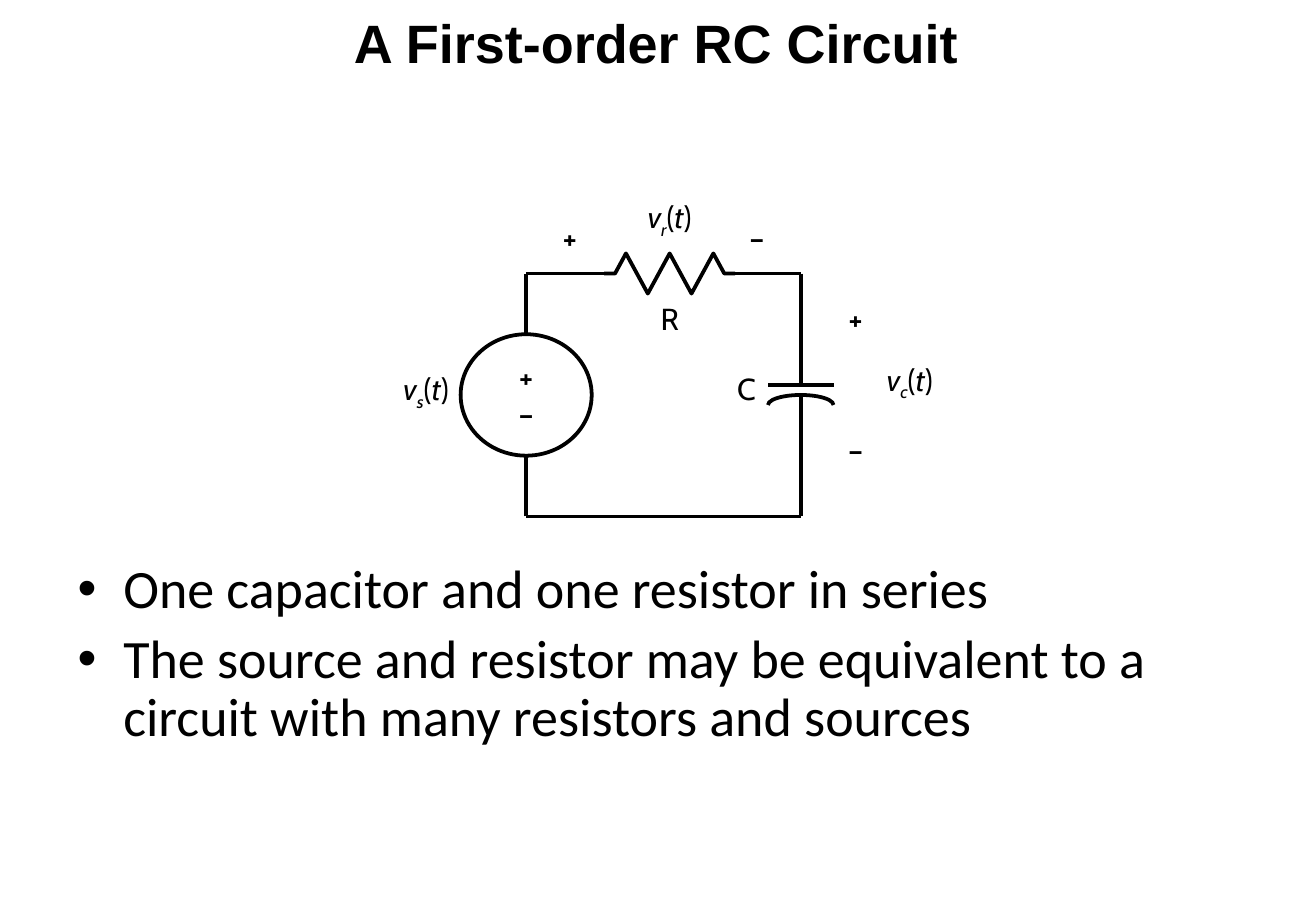
from lxml import etree
from pptx import Presentation
from pptx.dml.color import RGBColor
from pptx.enum import shapes as es, text as et
from pptx.oxml import ns
from pptx.util import Cm, Pt

BLACK = RGBColor(0, 0, 0)
LABEL = {"name": "Cabin", "size": Pt(18)}
BOLD = {**LABEL, "bold": True}
LEFT, MID, RIGHT = et.PP_ALIGN.LEFT, et.PP_ALIGN.CENTER, et.PP_ALIGN.RIGHT


def style(font, form):
    for key, val in form.items():
        setattr(font, key, val)
    font.color.rgb = BLACK


def ink(shape):
    shape.line.color.rgb = BLACK
    shape.line.width = Pt(2.25)


def place(shape, box):
    shape.left, shape.top, shape.width, shape.height = map(Cm, box)


def title(slide, box, words):
    shape = slide.shapes.title
    place(shape, box)
    frame = shape.text_frame
    frame.text = words
    frame.auto_size = et.MSO_AUTO_SIZE.NONE
    frame.vertical_anchor = et.MSO_ANCHOR.MIDDLE
    para = frame.paragraphs[0]
    para.alignment = MID
    style(para.font, {"name": "Arial", "size": Pt(32), "bold": True})


def points(slide, box, items):
    shape = slide.placeholders[1]
    place(shape, box)
    frame = shape.text_frame
    frame.text = "\n".join(items)
    frame.auto_size = et.MSO_AUTO_SIZE.NONE
    for num, para in enumerate(frame.paragraphs):
        para.line_spacing = 0.9
        para.space_before = Pt(6.4 if num else 0)
        style(para.font, {"name": "Calibri", "size": Pt(32)})


def wire(slide, *ends):
    line = slide.shapes.add_connector(es.MSO_CONNECTOR.STRAIGHT, *map(Cm, ends))
    ink(line)
    etree.SubElement(line._element.spPr, ns.qn("a:effectLst"))


def label(slide, box, words, align=MID, form=LABEL):
    """Add a label and return its paragraph."""
    frame = slide.shapes.add_textbox(*map(Cm, box)).text_frame
    frame.word_wrap = True
    para = frame.paragraphs[0]
    para.alignment = align
    if words:
        run = para.add_run()
        run.text = words
        style(run.font, form)
    return para


def volts(slide, box, sub, align=MID):
    """Add a voltage such as v(t), with a subscript after the v."""
    para = label(slide, box, "", align)
    for word in ("v", sub, "(", "t", ")"):
        run = para.add_run()
        run.text = word
        style(run.font, {**LABEL, "italic": word.isalpha()})
        if word == sub:
            run._r.get_or_add_rPr().set("baseline", "-25000")


def source(slide, box):
    disc = slide.shapes.add_shape(es.MSO_SHAPE.OVAL, *map(Cm, box))
    disc.shadow.inherit = False
    disc.fill.background()
    ink(disc)
    frame = disc.text_frame
    frame.word_wrap = False
    frame.vertical_anchor = et.MSO_ANCHOR.MIDDLE
    frame.text = "+\n–"
    for para in frame.paragraphs:
        para.alignment = MID
        style(para.font, BOLD)


def zigzag(slide, box):
    x, y, w, h = box
    steps = zip((1, 2, 4, 6, 8, 10, 11, 12), (0, -1, 1, -1, 1, -1, 0, 0))
    mid = y + h / 2
    path = slide.shapes.build_freeform(Cm(x), Cm(mid))
    path.add_line_segments(
        [(Cm(x + w * a / 12), Cm(mid + h * b / 2)) for a, b in steps], close=False)
    shape = path.convert_to_shape()
    shape.shadow.inherit = False
    shape.fill.background()
    ink(shape)


def plates(slide, box):
    """Draw the flat plate on the top edge and the bent one below the gap."""
    x, y, w, gap = box
    wire(slide, x, y, x + w, y)
    bend = slide.shapes.add_shape(
        es.MSO_SHAPE.ARC, Cm(x), Cm(y + gap), Cm(w), Cm(2 * gap))
    bend.adjustments[0], bend.adjustments[1] = 108, 0
    bend.shadow.inherit = False
    bend.fill.background()
    ink(bend)


def circuit(slide, box):
    """Draw the loop on the box's edges, with parts and labels around it."""
    x, y, w, h = box
    right, low, mid = x + w, y + h, y + h / 2
    part, high, gap, tall, sign = 2.74, 2.54, 0.21, 1.02, 1.83
    res, cap = x + 1.63, y + 2.33

    for ends in (
        (x, mid - high / 2, x, y), (x, y, res, y),
        (res + part, y, right, y), (right, y, right, cap),
        (right, cap + gap, right, low), (x, low, right, low),
        (x, low, x, mid + high / 2),
    ):
        wire(slide, *ends)
    source(slide, (x - part / 2, mid - high / 2, part, high))
    zigzag(slide, (res, y - 0.42, part, 0.84))
    plates(slide, (right - part / 4, cap, part / 2, gap))

    volts(slide, (res, y - 1.7, part, tall), "r")
    volts(slide, (right + 0.91, y + 1.7, part, tall), "c")
    volts(slide, (x - 4.57, y + 1.9, 3.2, tall), "s", RIGHT)
    label(slide, (res, y + 0.43, part, tall), "R")
    label(slide, (right - 3.89, y + 1.9, 3.2, tall), "C", RIGHT)
    for left, top, mark in (
        (x, y - 1.27, "+"), (right - sign, y - 1.27, "–"),
        (right + 0.23, y + 0.43, "+"), (right + 0.23, y + 3.17, "–"),
    ):
        label(slide, (left, top, sign, tall), mark, form=BOLD)


def main():
    deck = Presentation()
    deck.slide_width, deck.slide_height = Cm(27.51), Cm(19.05)
    slide = deck.slides.add_slide(deck.slide_layouts[1])
    title(slide, (2.29, 0.03, 22.86, 1.68), "A First-order RC Circuit")
    circuit(slide, (11, 5.72, 5.74, 5.08))
    points(slide, (1.37, 11.63, 24.77, 4.62), (
        "One capacitor and one resistor in series",
        "The source and resistor may be equivalent to a circuit "
        "with many resistors and sources",
    ))
    deck.save("out.pptx")


if __name__ == "__main__":
    main()
